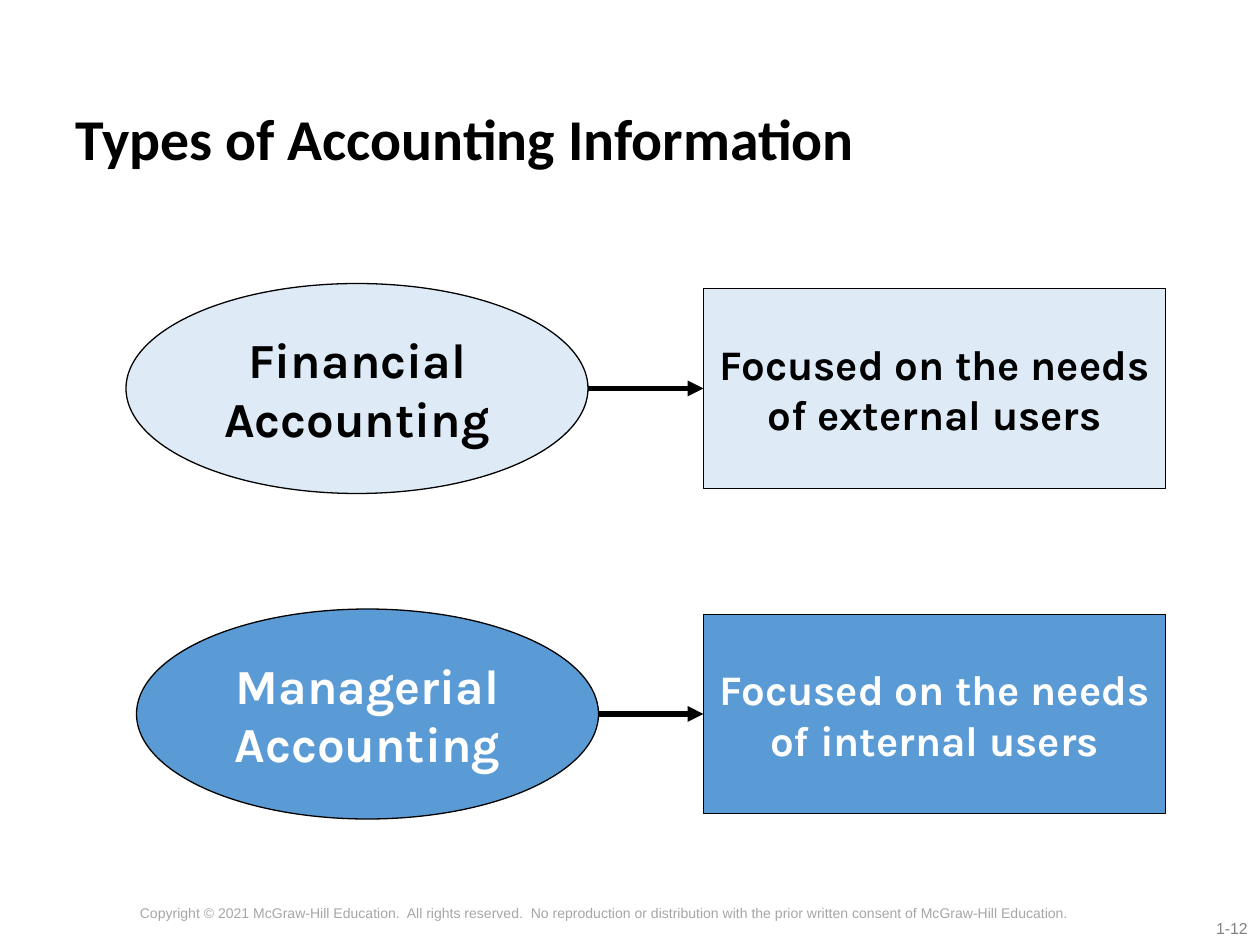
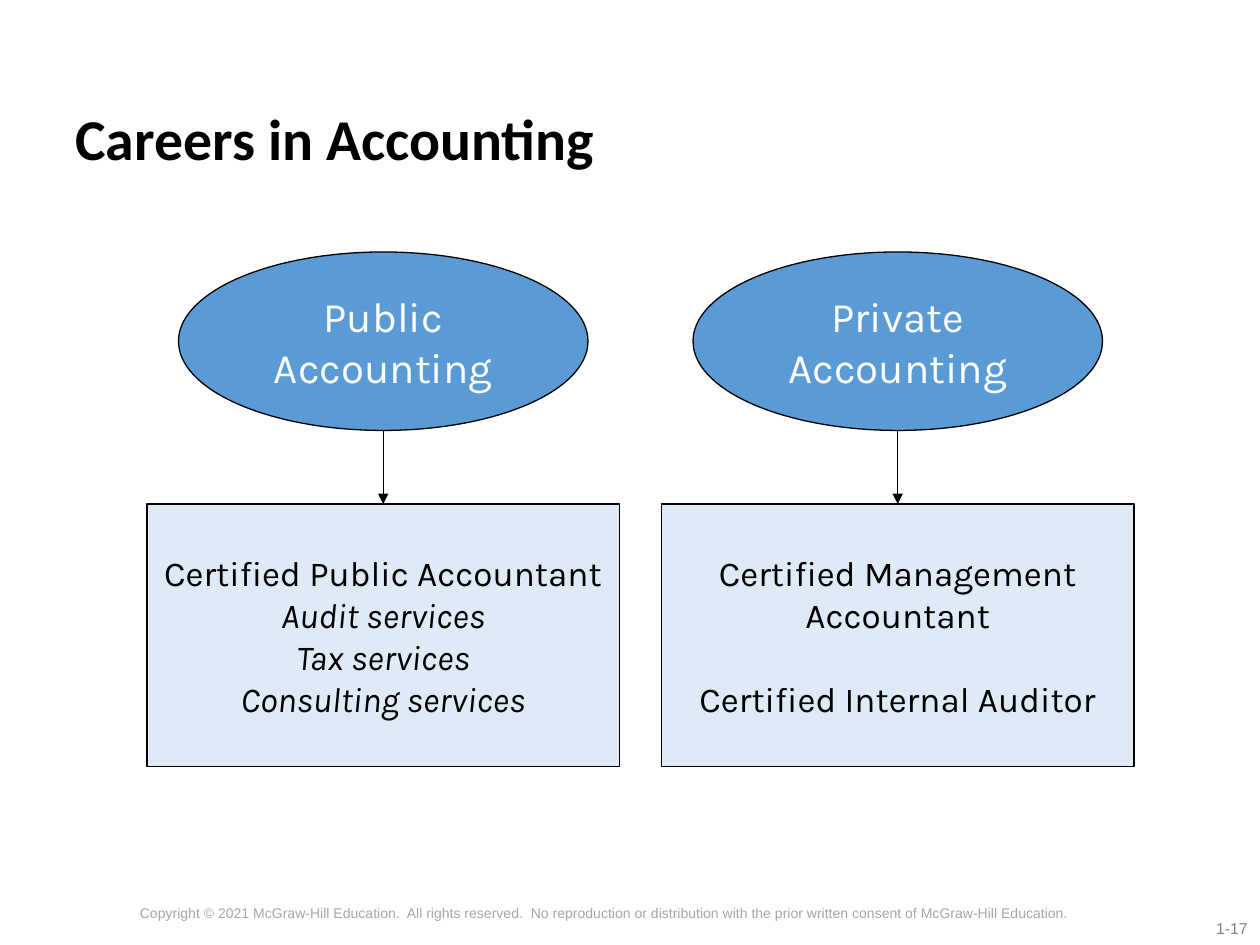
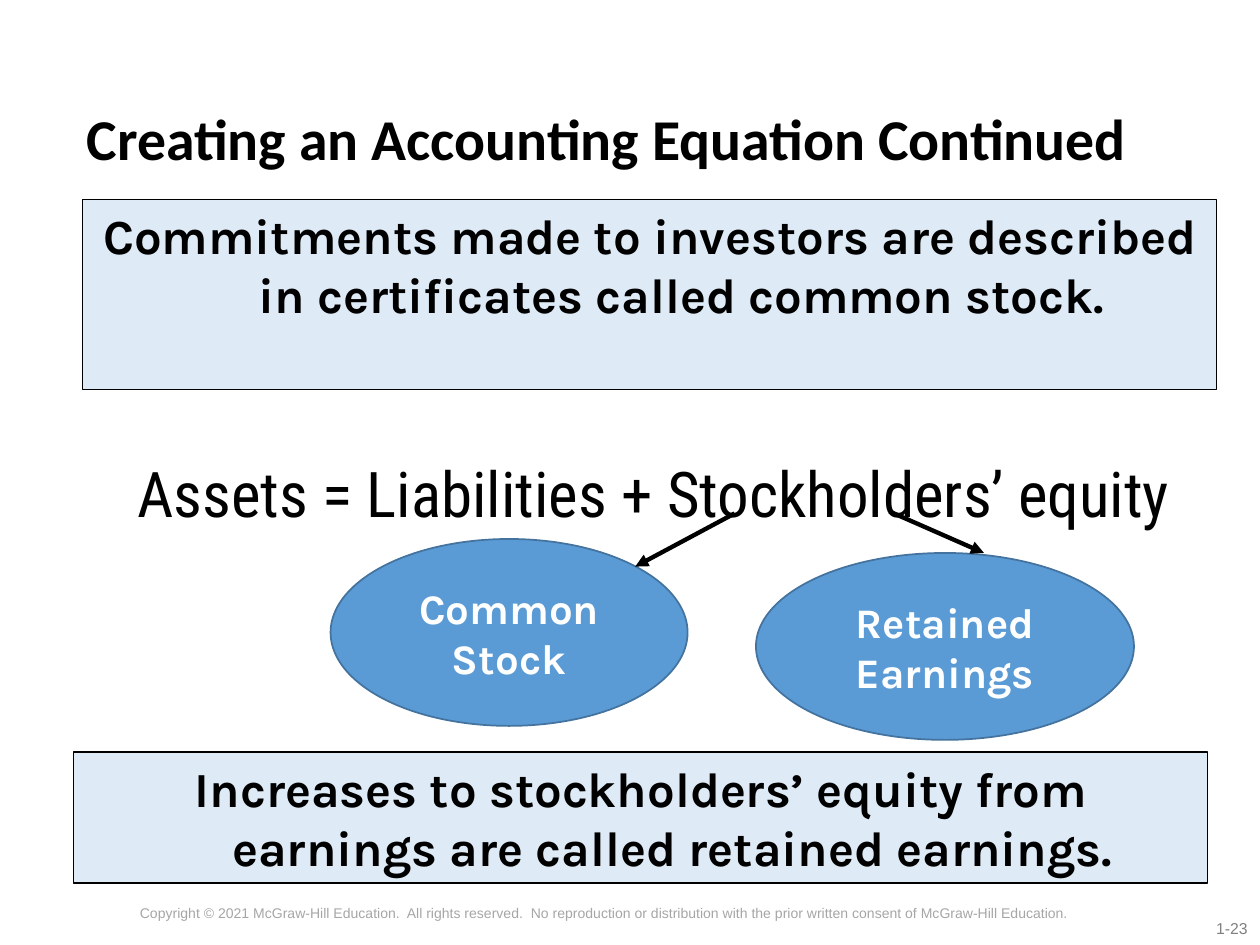
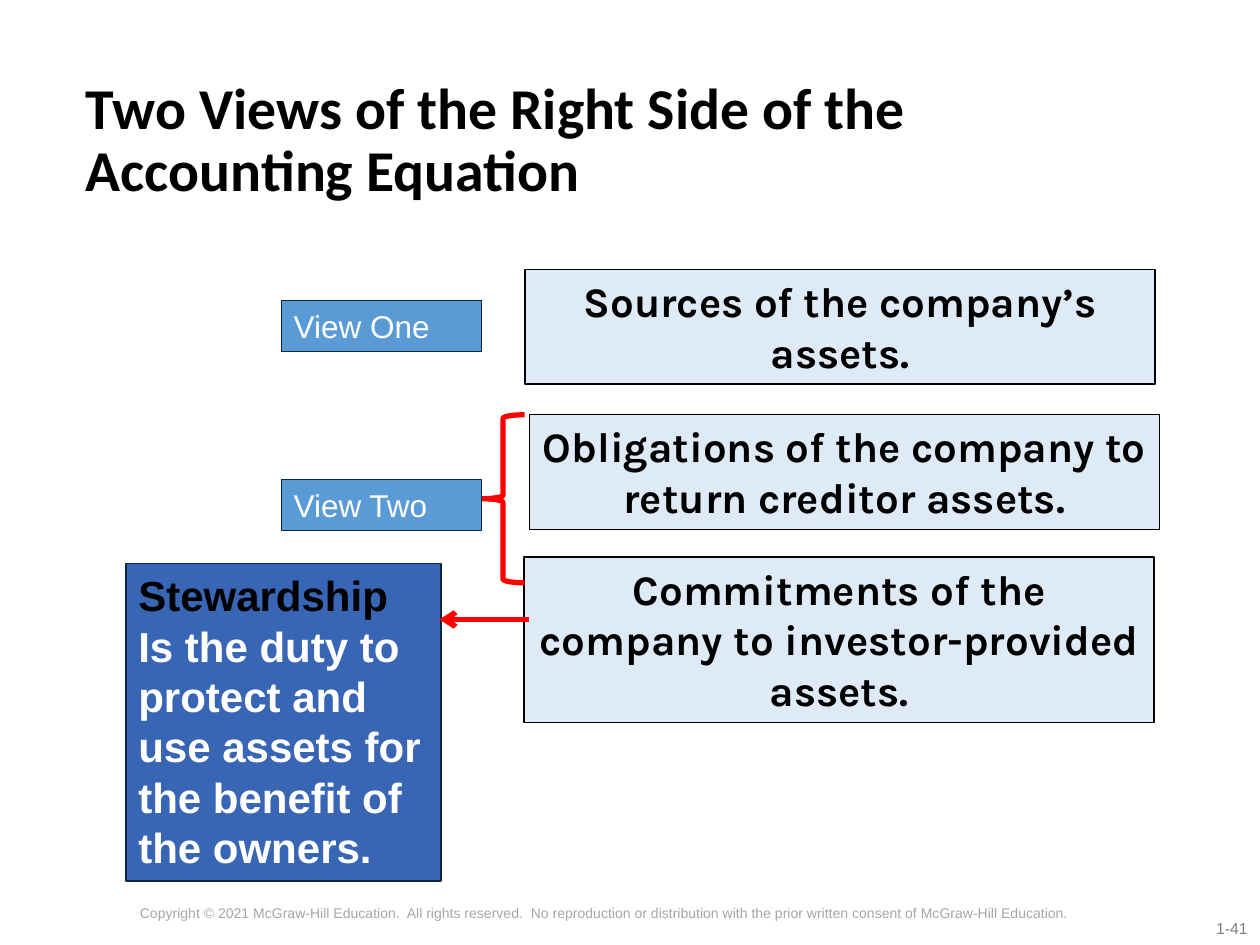
from dataclasses import dataclass

from lxml import etree
from pptx import Presentation
from pptx import util as u
from pptx.dml import color
from pptx.enum import shapes, text
from pptx.oxml import ns

Pt = u.Pt
RECT = shapes.MSO_SHAPE.RECTANGLE
OVAL = shapes.MSO_SHAPE.OVAL
LEFT, CENTRE, RIGHT = text.PP_ALIGN.LEFT, text.PP_ALIGN.CENTER, text.PP_ALIGN.RIGHT
TOP, MIDDLE = text.MSO_ANCHOR.TOP, text.MSO_ANCHOR.MIDDLE

BLACK, WHITE, RED = "000000", "FFFFFF", "FF0000"
PALE, BLUE, DEEP = "DEEBF7", "5B9BD5", "3965B5"
NAVY, STEEL = "0F273D", "43739E"
GREY, LIGHT_GREY = "808080", "A6A6A6"

TITLE_RIGHT = 670.5
COPYRIGHT = (
    "Copyright © 2021 McGraw-Hill Education.  All rights reserved.  "
    "No reproduction or distribution with the prior written consent of McGraw-Hill Education."
)


@dataclass(frozen=True)
class Style:
    """How the words in a shape or text box look."""
    size: float
    font: str = "Karla"
    colour: str = BLACK
    bold: bool = False
    align: text.PP_ALIGN = CENTRE
    anchor: text.MSO_ANCHOR = MIDDLE
    spacing: float = 1.0
    hanging: float = 0
    wrap: bool = True


@dataclass(frozen=True)
class Line:
    """One paragraph; a colour given here overrides the style."""
    words: str
    italic: bool = False
    colour: str = ""
    before: float = 0


@dataclass(frozen=True)
class Area:
    left: float
    top: float
    width: float
    height: float


@dataclass(frozen=True)
class Block:
    """A filled shape with text."""
    area: Area
    fill: str
    style: Style
    lines: tuple[Line, ...]
    outline: str = BLACK
    preset: shapes.MSO_SHAPE = RECT
    weight: float = 0.75


@dataclass(frozen=True)
class Arrow:
    start: tuple[float, float]
    end: tuple[float, float]
    weight: float
    colour: str = BLACK
    head: str = "triangle"


TITLE = Style(33, "Calibri", bold=True, align=LEFT, spacing=0.9)
PAGE_NUMBER = Style(9, "Arial", GREY, align=RIGHT, anchor=TOP)
FOOTER = Style(8, "Arial", LIGHT_GREY, anchor=TOP)
EQUATION = Style(36, "Roboto Condensed", anchor=TOP, wrap=False)
STATEMENT = Style(28, bold=True, anchor=TOP, hanging=36)
CLAIM = Style(24, bold=True, anchor=TOP)
EQUITY_PART = Style(24, colour=WHITE, bold=True)
CAREER = Style(24, colour=WHITE)
CERTIFICATE = Style(20)
VIEW = Style(18, "Arial", WHITE, align=LEFT, anchor=TOP)
DUTY = Style(24, "Arial", WHITE, bold=True, align=LEFT, anchor=TOP)


def rgb(code: str) -> color.RGBColor:
    return color.RGBColor.from_string(code)


def points(area: Area) -> tuple[u.Length, ...]:
    return Pt(area.left), Pt(area.top), Pt(area.width), Pt(area.height)


def write(frame, style: Style, lines: tuple[Line, ...]) -> None:
    frame.word_wrap = style.wrap
    frame.vertical_anchor = style.anchor
    for index, line in enumerate(lines):
        paragraph = frame.paragraphs[0] if index == 0 else frame.add_paragraph()
        paragraph.alignment = style.align
        paragraph.line_spacing = style.spacing
        if line.before:
            paragraph.space_before = Pt(line.before)
        if style.hanging:
            properties = paragraph._p.get_or_add_pPr()
            properties.set("marL", str(Pt(style.hanging)))
            properties.set("indent", str(-Pt(style.hanging)))
        run = paragraph.add_run()
        run.text = line.words
        run.font.name = style.font
        run.font.size = Pt(style.size)
        run.font.bold = style.bold
        run.font.italic = line.italic
        run.font.color.rgb = rgb(line.colour or style.colour)


def add_words(slide, area: Area, style: Style, words: str) -> None:
    write(slide.shapes.add_textbox(*points(area)).text_frame, style, (Line(words),))


def add_block(slide, block: Block) -> None:
    shape = slide.shapes.add_shape(block.preset, *points(block.area))
    shape.shadow.inherit = False
    shape.fill.solid()
    shape.fill.fore_color.rgb = rgb(block.fill)
    shape.line.color.rgb = rgb(block.outline)
    shape.line.width = Pt(block.weight)
    write(shape.text_frame, block.style, block.lines)


def add_arrow(slide, arrow: Arrow) -> None:
    ends = (Pt(value) for value in arrow.start + arrow.end)
    connector = slide.shapes.add_connector(shapes.MSO_CONNECTOR.STRAIGHT, *ends)
    connector.line.color.rgb = rgb(arrow.colour)
    connector.line.width = Pt(arrow.weight)
    etree.SubElement(connector.line._get_or_add_ln(), ns.qn("a:tailEnd"), type=arrow.head)
    etree.SubElement(connector._element.spPr, ns.qn("a:effectLst"))


def add_brace(slide, area: Area) -> None:
    brace = slide.shapes.add_shape(shapes.MSO_SHAPE.LEFT_BRACE, *points(area))
    brace.shadow.inherit = False
    brace.fill.background()
    brace.line.color.rgb = rgb(RED)
    brace.line.width = Pt(3)


def start_slide(deck, title: str, page: str, title_left: float = 36):
    """Add a slide with its page number, copyright line and title."""
    slide = deck.slides.add_slide(deck.slide_layouts[6])
    add_words(slide, Area(632.9, 521.3, 87.1, 18), PAGE_NUMBER, page)
    add_words(slide, Area(0.7, 513.4, 689.8, 26.6), FOOTER, COPYRIGHT)
    add_words(slide, Area(title_left, 28.8, TITLE_RIGHT - title_left, 104.4), TITLE, title)
    return slide


def build_information_types(deck) -> None:
    slide = start_slide(deck, "Types of Accounting Information", "1-12")
    branches = (
        ("Financial", "external", 72, 222, PALE, BLACK),
        ("Managerial", "internal", 78, 408, BLUE, WHITE),
    )
    width, oval_height, need_height, need_left = 264, 120, 114, 402
    for branch, users, left, middle, fill, ink in branches:
        add_block(slide, Block(
            Area(left, middle - oval_height / 2, width, oval_height), fill,
            Style(28, colour=ink, bold=True), (Line(f"{branch} Accounting"),), preset=OVAL))
        add_block(slide, Block(
            Area(need_left, middle - need_height / 2, width, need_height), fill,
            Style(24, colour=ink, bold=True), (Line(f"Focused on the needs of {users} users"),)))
        add_arrow(slide, Arrow((left + width, middle), (need_left, middle), 3))


def build_careers(deck) -> None:
    slide = start_slide(deck, "Careers in Accounting", "1-17")
    services = ("Audit services", "Tax services", "Consulting services")
    careers = (
        ("Public", 219, (Line("Certified Public Accountant"),
                         *(Line(service, italic=True) for service in services))),
        ("Private", 513, (Line("Certified Management Accountant"),
                          Line("Certified Internal Auditor", before=24))),
    )
    oval_width, oval_top, oval_bottom = 234, 144, 246
    detail_width, detail_top = 270, 288
    for career, centre, certificates in careers:
        add_block(slide, Block(
            Area(centre - oval_width / 2, oval_top, oval_width, oval_bottom - oval_top), BLUE,
            CAREER, (Line(f"{career} Accounting"),), preset=OVAL))
        add_block(slide, Block(
            Area(centre - detail_width / 2, detail_top, detail_width, 150), PALE,
            CERTIFICATE, certificates))
        add_arrow(slide, Arrow((centre, oval_bottom), (centre, detail_top), 0.75))


def build_equation(deck) -> None:
    slide = start_slide(deck, "Creating an Accounting Equation Continued", "1-23", 42.5)
    statements = (
        (Area(47.3, 113.8, 648, 108.7),
         "Commitments made to investors are described in certificates called common stock."),
        (Area(42.2, 429.8, 648, 74.9),
         "Increases to stockholders’ equity from earnings are called retained earnings."),
    )
    for area, words in statements:
        add_block(slide, Block(area, PALE, STATEMENT, (Line(words),)))
    add_words(slide, Area(49.7, 256.3, 648, 36), EQUATION,
              "Assets = Liabilities + Stockholders’ equity")
    equity_parts = (
        ("Common Stock", Area(188.9, 308, 204, 106.8), (419.8, 293.4), (363, 323.8)),
        ("Retained Earnings", Area(432, 316, 216, 106.8), (508.3, 292.3), (562.3, 316)),
    )
    for part, area, start, end in equity_parts:
        add_block(slide, Block(area, BLUE, EQUITY_PART, (Line(part),), STEEL, OVAL, 1))
        add_arrow(slide, Arrow(start, end, 2.5))


def build_two_views(deck) -> None:
    slide = start_slide(
        deck, "Two Views of the Right Side of the Accounting Equation", "1-41", 42)
    claims = (
        (300, 154, 65.5, "Sources of the company’s assets."),
        (302.5, 237, 65.5, "Obligations of the company to return creditor assets."),
        (299.5, 318.4, 94.5, "Commitments of the company to investor-provided assets."),
    )
    for left, top, height, words in claims:
        add_block(slide, Block(Area(left, top, 360, height), PALE, CLAIM, (Line(words),)))
    add_block(slide, Block(
        Area(72, 322, 180, 181.5), DEEP, DUTY,
        (Line("Stewardship", colour=BLACK), Line("Is the duty to"), Line("protect and"),
         Line("use assets for the benefit of the owners.")), NAVY))
    add_arrow(slide, Arrow((302.5, 354), (251, 354), 3, RED, "arrow"))
    add_brace(slide, Area(275.2, 237, 24.6, 96))
    for view, top in (("View One", 171.8), ("View Two", 274)):
        add_block(slide, Block(Area(160.7, top, 114.5, 29), BLUE, VIEW, (Line(view),), NAVY))


def main() -> None:
    deck = Presentation()
    deck.slide_width, deck.slide_height = Pt(720), Pt(540)
    build_information_types(deck)
    build_careers(deck)
    build_equation(deck)
    build_two_views(deck)
    deck.save("out.pptx")


if __name__ == "__main__":
    main()
